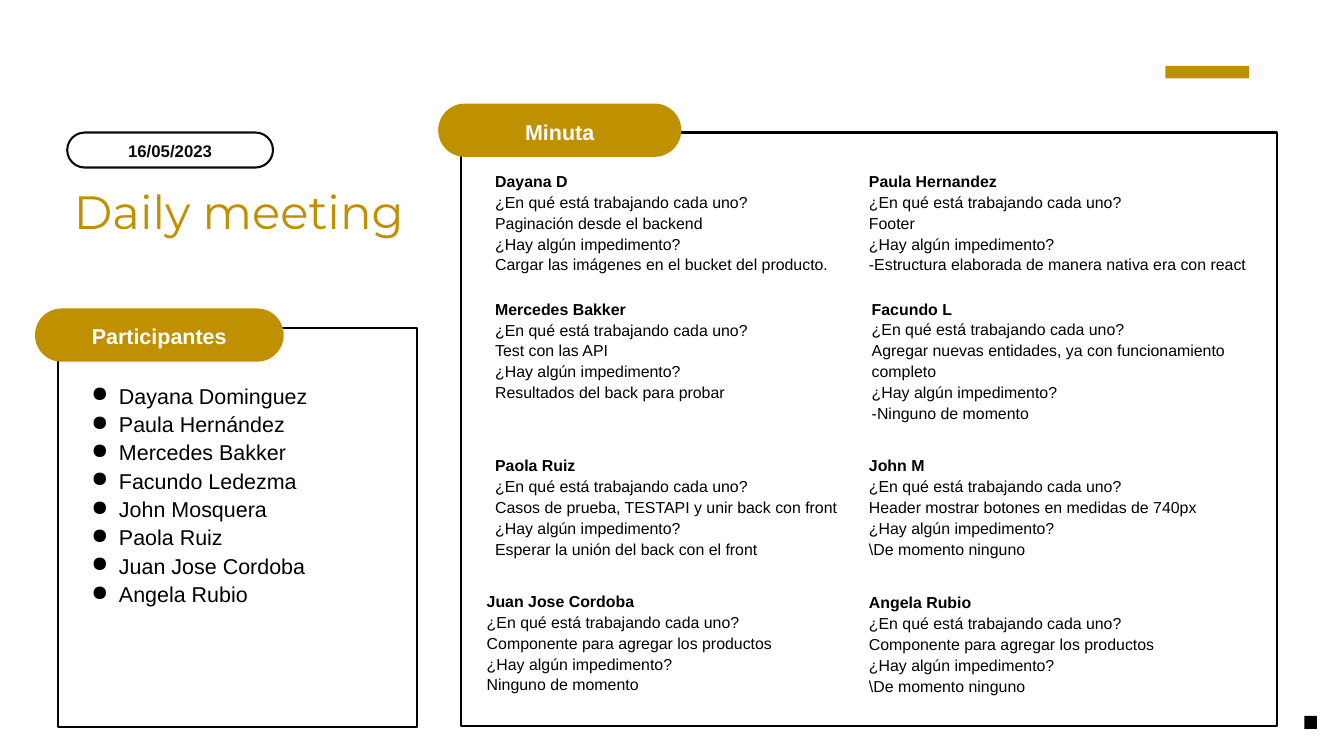
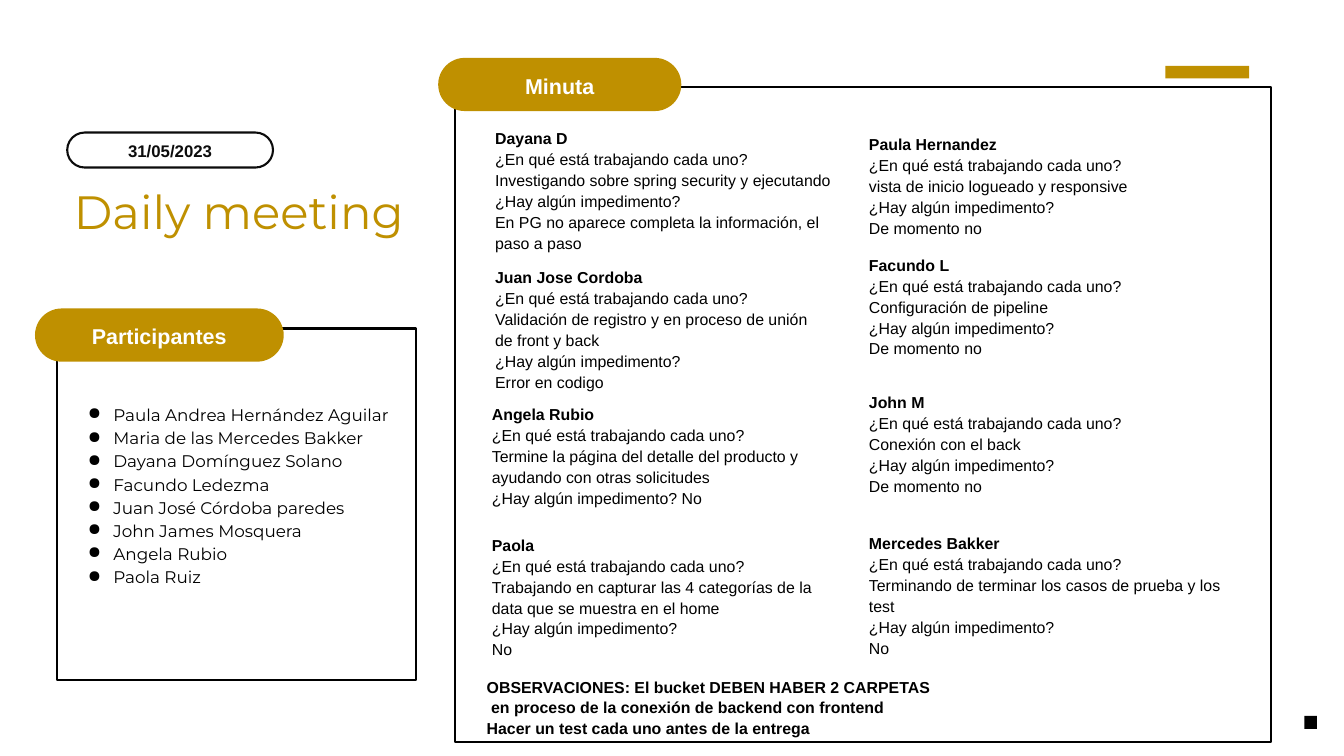
from lxml import etree
from pptx import Presentation
from pptx import util as u
from pptx.dml.color import RGBColor
from pptx.enum import shapes, text
from pptx.oxml.ns import qn

COLORS = {"gold": "BF9000", "black": "000000", "ink": "0C0C0C", "white": "FFFFFF"}
LOOKS = {
    "title": {"name": "Montserrat", "size": u.Pt(50), "bold": False, "color": "gold"},
    "pill": {"name": "Arial", "size": u.Pt(23), "bold": True, "color": "white"},
    "date": {"name": "Arial", "size": u.Pt(18), "bold": True, "color": "ink"},
    "person": {"name": "Arial", "size": u.Pt(17), "bold": True, "color": "black"},
    "note": {"name": "Arial", "size": u.Pt(17), "bold": False, "color": "black"},
    "list_large": {"name": "Arial", "size": u.Pt(23), "bold": False, "color": "black"},
    "list_small": {"name": "Montserrat", "size": u.Pt(18), "bold": False, "color": "black"},
}
PILL = shapes.MSO_SHAPE.ROUNDED_RECTANGLE
FRAME = shapes.MSO_SHAPE.ROUND_2_SAME_RECTANGLE
BLOCK = shapes.MSO_SHAPE.RECTANGLE
WORKING = "¿En qué está trabajando cada uno?"
BLOCKED = "¿Hay algún impedimento?"
LINE_HEIGHT = 22.3

# Each note: left, top, width, line count, person, work, answer on impediments
MEETINGS = [
    {
        "date": "16/05/2023",
        "people_frame": (62.5, 351.5, 384, 427),
        "people_box": (91.5, 407.5, 335, 242.5),
        "people_style": ("list_large", 29.5, 1.1),
        "people": ["Dayana Dominguez", "Paula Hernández", "Mercedes Bakker", "Facundo Ledezma",
                   "John Mosquera", "Paola Ruiz", "Juan Jose Cordoba", "Angela Rubio"],
        "minutes_frame": (494, 142, 874, 636),
        "minutes_pill_top": 111,
        "notes": [
            (530.5, 181.5, 387, 5, "Dayana D", "Paginación desde el backend",
             "\nCargar las imágenes en el bucket del producto."),
            (931, 181.5, 434, 5, "Paula Hernandez", "Footer",
             "\n-Estructura elaborada de manera nativa era con react"),
            (530.5, 318.5, 378.5, 5, "Mercedes Bakker", "Test con las API",
             "\nResultados del back para probar"),
            (934, 318.5, 428, 6, "Facundo L",
             "Agregar nuevas entidades, ya con funcionamiento completo", "\n-Ninguno de momento"),
            (530.5, 486, 428, 5, "Paola Ruiz", "Casos de prueba, TESTAPI y unir back con front",
             "\nEsperar la unión del back con el front"),
            (931, 486, 428, 5, "John M", "Header mostrar botones en medidas de 740px",
             "\n\\De momento ninguno"),
            (521.5, 631.5, 428, 5, "Juan Jose Cordoba", "Componente para agregar los productos",
             "\nNinguno de momento"),
            (931, 633, 428, 5, "Angela Rubio", "Componente para agregar los productos",
             "\n\\De momento ninguno"),
        ],
        "remarks": [],
    },
    {
        "date": "31/05/2023",
        "people_frame": (61.5, 352, 384, 377),
        "people_box": (85.5, 430.5, 335, 221),
        "people_style": ("list_small", 27.4, 1.15),
        "people": ["Paula Andrea Hernández Aguilar", "Maria de las Mercedes Bakker",
                   "Dayana Domínguez Solano", "Facundo Ledezma", "Juan José Córdoba paredes",
                   "John James Mosquera", "Angela Rubio", "Paola Ruiz"],
        "minutes_frame": (487.5, 93.5, 874, 702),
        "minutes_pill_top": 62,
        "notes": [
            (530.5, 136, 370, 6, "Dayana D", "Investigando sobre spring security y ejecutando",
             "\nEn PG no aparece completa la información, el paso a paso"),
            (931, 142.5, 434, 5, "Paula Hernandez", "vista de inicio logueado y responsive",
             "\nDe momento no"),
            (530.5, 285, 355.5, 6, "Juan Jose Cordoba",
             "Validación de registro y en proceso de unión de front y back", "\nError en codigo"),
            (931, 271.5, 428, 5, "Facundo L", "Configuración de pipeline", "\nDe momento no"),
            (527, 432, 378.5, 5, "Angela Rubio",
             "Termine la página del detalle del producto y ayudando con otras solicitudes", " No"),
            (931, 418.5, 400, 5, "John M", "Conexión con el back", "\nDe momento no"),
            (527, 571.5, 378.5, 6, "Paola",
             "Trabajando en capturar las 4 categorías de la data que se muestra en el home",
             "\nNo"),
            (931, 570, 378.5, 6, "Mercedes Bakker",
             "Terminando de terminar los casos de prueba y los test", "\nNo"),
        ],
        "remarks": ["OBSERVACIONES: El bucket DEBEN HABER 2 CARPETAS",
                    "en proceso de la conexión de backend con frontend",
                    "Hacer un test cada uno antes de la entrega"],
    },
]


def add_box(slide, kind, box, fill=None, line=None):
    """Add a preset shape, or a text box that grows when kind is None."""
    box = [u.Pt(value) for value in box]
    if kind is None:
        shape = slide.shapes.add_textbox(*box)
        shape.text_frame.auto_size = text.MSO_AUTO_SIZE.SHAPE_TO_FIT_TEXT
        return shape
    shape = slide.shapes.add_shape(kind, *box)
    shape.shadow.inherit = False
    for index in range(len(shape.adjustments)):
        shape.adjustments[index] = 0.5 if kind == PILL else 0
    if fill:
        shape.fill.solid()
        shape.fill.fore_color.rgb = RGBColor.from_string(COLORS[fill])
    else:
        shape.fill.background()
    if line:
        shape.line.color.rgb = RGBColor.from_string(COLORS[line])
        shape.line.width = u.Pt(2.25)
    else:
        shape.line.fill.background()
    return shape


def write(shape, lines, align=text.PP_ALIGN.LEFT, spacing=1.1, inset=0, hanging=None,
          anchor=text.MSO_ANCHOR.TOP):
    """Fill a shape with (wording, look) lines; hanging is the bullet's outdent."""
    frame = shape.text_frame
    settings = {"word_wrap": True, "vertical_anchor": anchor}
    settings.update({f"margin_{side}": u.Pt(inset) for side in ("left", "top", "right", "bottom")})
    for name, value in settings.items():
        setattr(frame, name, value)
    for index, (wording, look) in enumerate(lines):
        paragraph = frame.paragraphs[0] if index == 0 else frame.add_paragraph()
        paragraph.alignment = align
        paragraph.line_spacing = spacing
        if hanging:
            properties = paragraph._p.get_or_add_pPr()
            properties.set("marL", str(u.Pt(36)))
            properties.set("indent", str(-u.Pt(hanging)))
            bullet_color = etree.SubElement(properties, qn("a:buClr"))
            etree.SubElement(bullet_color, qn("a:srgbClr"), val=COLORS["black"])
            etree.SubElement(properties, qn("a:buChar"), char="●")
        run = paragraph.add_run()
        run.text = wording
        for name, value in LOOKS[look].items():
            if name == "color":
                run.font.color.rgb = RGBColor.from_string(COLORS[value])
            else:
                setattr(run.font, name, value)


presentation = Presentation()
presentation.slide_width = u.Pt(1440)
presentation.slide_height = u.Pt(810)
centered = {"align": text.PP_ALIGN.CENTER, "anchor": text.MSO_ANCHOR.MIDDLE}

for meeting in MEETINGS:
    slide = presentation.slides.add_slide(presentation.slide_layouts[5])

    title = slide.shapes.title
    title_box = {"left": 72, "top": 196, "width": 384, "height": 60.5}
    for name, value in title_box.items():
        setattr(title, name, u.Pt(value))
    title.text_frame.auto_size = text.MSO_AUTO_SIZE.NONE
    write(title, [("Daily meeting", "title")], spacing=1.0, inset=7.2,
          anchor=text.MSO_ANCHOR.MIDDLE)

    add_box(slide, BLOCK, (1397.5, 767, 13.5, 14), "black")
    add_box(slide, BLOCK, (1248.5, 70.5, 90, 13.5), "gold")
    date_pill = add_box(slide, PILL, (72, 142, 220.5, 37.5), "white", "ink")
    write(date_pill, [(meeting["date"], "date")], **centered)

    for frame_box, pill_box, heading in [
        (meeting["people_frame"], (37.5, 330.5, 266.5, 57), "Participantes"),
        (meeting["minutes_frame"], (469.5, meeting["minutes_pill_top"], 260.5, 57), "Minuta"),
    ]:
        add_box(slide, FRAME, frame_box, line="black")
        heading_pill = add_box(slide, PILL, pill_box, "gold")
        write(heading_pill, [(heading, "pill")], **centered)

    look, hanging, spacing = meeting["people_style"]
    people_list = add_box(slide, None, meeting["people_box"])
    write(people_list, [(person, look) for person in meeting["people"]],
          spacing=spacing, hanging=hanging)

    for left, top, width, line_count, person, work, answer in meeting["notes"]:
        note = add_box(slide, None, (left, top, width, line_count * LINE_HEIGHT))
        body = f"{WORKING}\n{work}\n{BLOCKED}{answer}".split("\n")
        write(note, [(person, "person")] + [(line, "note") for line in body])

    if meeting["remarks"]:
        remarks = add_box(slide, None, (521.5, 723.5, 817, 3 * LINE_HEIGHT))
        write(remarks, [(line, "person") for line in meeting["remarks"]])
        remarks.text_frame.paragraphs[1]._p.get_or_add_pPr().set("marL", str(u.Pt(4.7)))

presentation.save("out.pptx")
